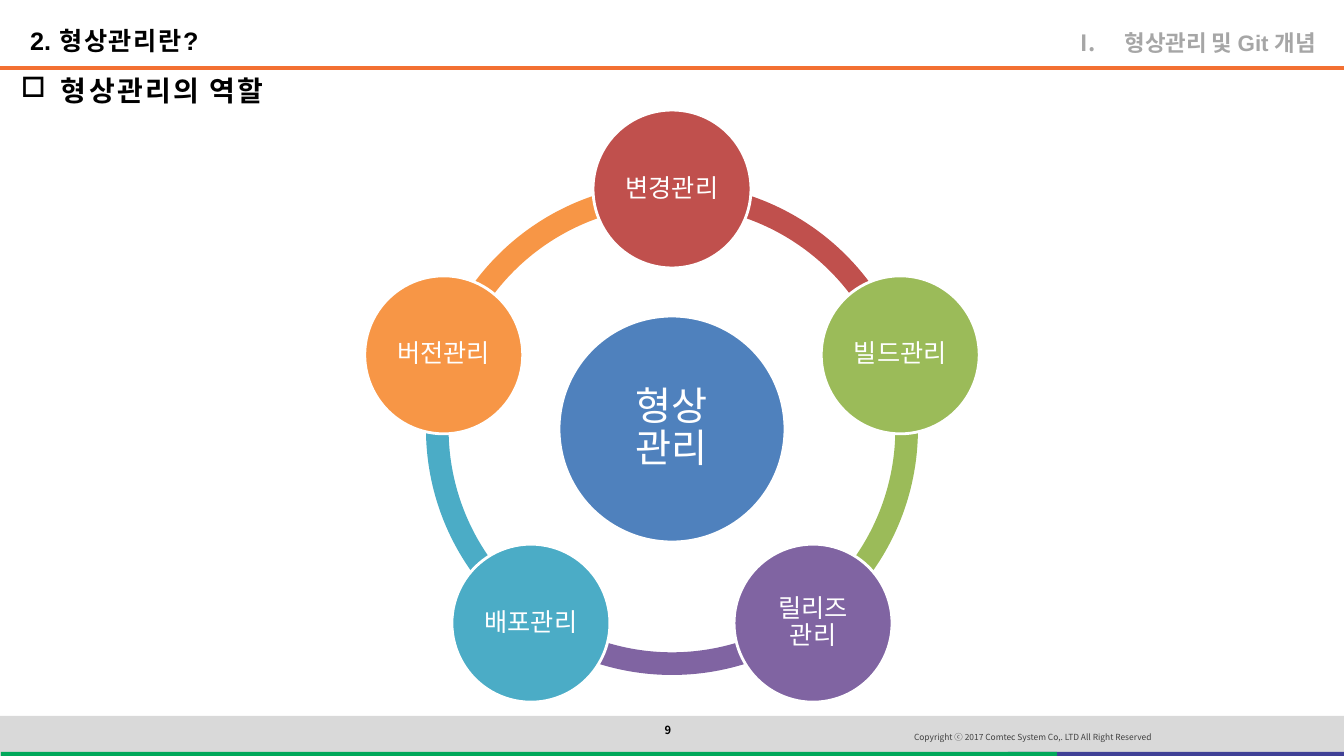
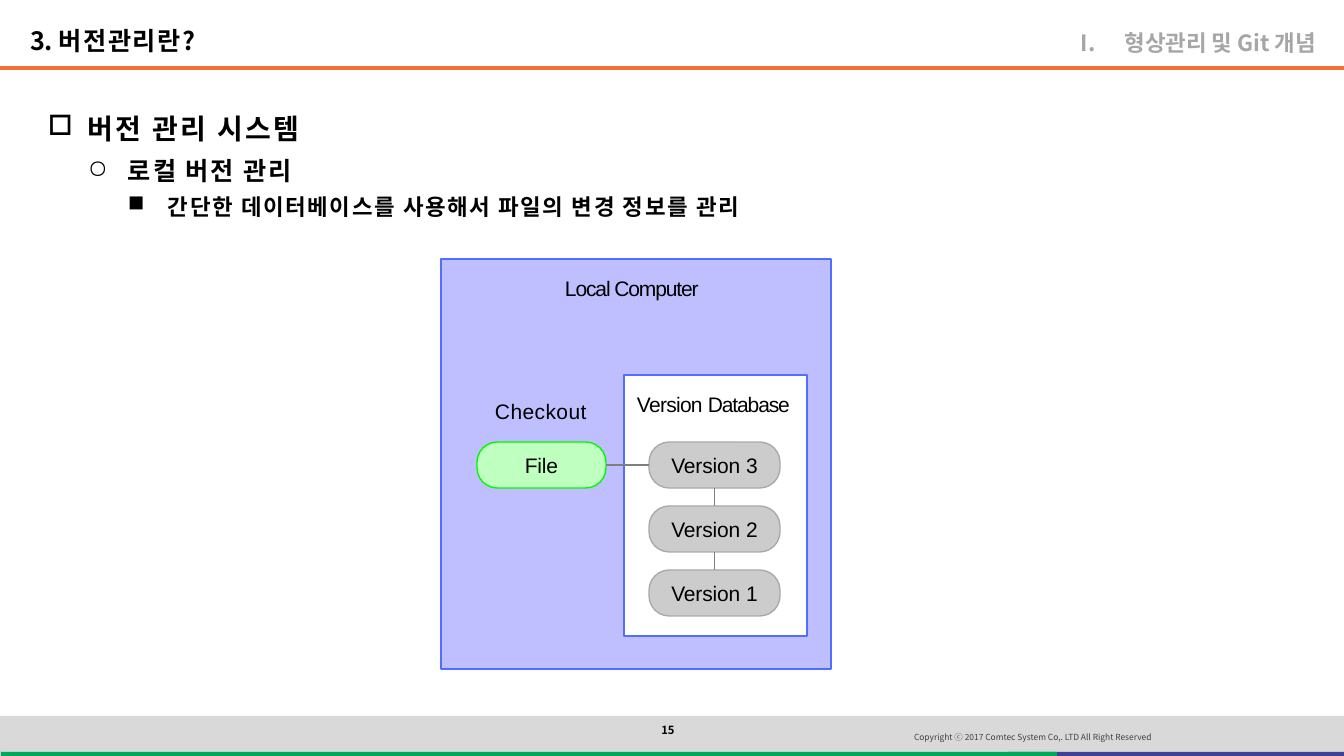
import math
from lxml import etree
from pptx import Presentation
from pptx import util as u
from pptx.dml.color import RGBColor
from pptx.enum import shapes, text
from pptx.oxml.ns import qn

EMU_PER_PX = 914400 / 100.8
WIDTH, HEIGHT = 1344, 756
KR, JP, LATIN = "Noto Sans CJK KR", "Noto Sans CJK JP", "Arial"
LEFT, CENTER, RIGHT = text.PP_ALIGN.LEFT, text.PP_ALIGN.CENTER, text.PP_ALIGN.RIGHT
TOP, MIDDLE, BOTTOM = text.MSO_ANCHOR.TOP, text.MSO_ANCHOR.MIDDLE, text.MSO_ANCHOR.BOTTOM
KIND = shapes.MSO_SHAPE

COLORS = {
    "black": "000000", "white": "FFFFFF", "chapter": "A6A6A6", "copyright": "404040",
    "rule": "F37032", "footer": "D9D9D9", "indigo": "3F4096", "emerald": "00A85A",
    "blue": "4F81BD", "red": "C0504D", "green": "9BBB59", "purple": "8064A2",
    "teal": "4BACC6", "orange": "F79646",
    "computer": "BFBFFF", "frame": "506FFF", "file": "BFFFBF", "file_edge": "00F900",
    "version": "CCCCCC", "version_edge": "A9A9A9", "link": "7F7F7F",
}

CHAPTER = "형상관리 및 Git 개념"
COPYRIGHT = "Copyright ⓒ 2017 Comtec System Co,. LTD All Right Reserved"
BANDS = [
    ((0, 716, WIDTH, 40), "footer"),
    ((1008, 752, 336, 4), "indigo"),
    ((1, 752, 1056, 4), "emerald"),
]

ROLES = {
    "title": [("2.", LATIN, 0), (" 형상관리란?", LATIN, 1.1)],
    "chapter_font": LATIN,
    "number": "9",
    "outline_at": (21, 73, 949, 35),
    "outline_top": 1,
    "outline": [(0, "형상관리의 역할")],
}
SYSTEMS = {
    "title": [("3. ", KR, 0), ("버전관리란?", JP, 1.1)],
    "chapter_font": KR,
    "number": "15",
    "outline_at": (48, 100, 985, 122),
    "outline_top": 12,
    "outline": [
        (0, "버전 관리 시스템"),
        (1, "로컬 버전 관리"),
        (2, "간단한 데이터베이스를 사용해서 파일의 변경 정보를 관리"),
    ],
}
LEVELS = [
    {"bullet": "□", "size": 20, "spacing": 1.6, "before": 0},
    {"bullet": "○", "size": 18, "spacing": 1.4, "before": 6.7},
    {"bullet": "■", "size": 16, "spacing": 1.2, "before": 5.8},
]
INDENT = 40

HUB = "형상\n관리"
ROLE_NODES = [
    ("변경관리", "red"), ("빌드관리", "green"), ("릴리즈 관리", "purple"),
    ("배포관리", "teal"), ("버전관리", "orange"),
]
RING_CENTER, ORBIT, RING_SIZE, HUB_SIZE, NODE_SIZE = (672, 429), 240, 492, 226, 158
RING_THICKNESS = 0.046

PANELS = [((441, 259, 390, 410), "computer"), ((624, 375, 183, 261), "white")]
LABELS = [
    ((565, 274), [("Local Computer", -0.8)]),
    ((637, 390), [("Version ", -0.5), ("Database", -0.8)]),
    ((495, 397), [("Checkout", 0.3)]),
]
FILE_AT = (477, 442, 129, 46)
VERSIONS = ["3", "2", "1"]
VERSION_AT, VERSION_PITCH = (649, 442, 131, 46), 64


def px(value):
    return u.Emu(round(value * EMU_PER_PX))


def rgb(name):
    return RGBColor.from_string(COLORS[name])


def assign(target, values):
    for name, value in values.items():
        if value is not None:
            setattr(target, name, value)


def add_span(para, words, size, font=KR, color="black", bold=False, spacing=0):
    for index, line in enumerate(words.split("\n")):
        if index:
            para.add_line_break()
        span = para.add_run()
        span.text = line
        assign(span.font, {"size": u.Pt(size), "name": font, "bold": bold})
        span.font.color.rgb = rgb(color)
        props = span._r.get_or_add_rPr()
        etree.SubElement(props, qn("a:ea")).set("typeface", KR if font == LATIN else font)
        if spacing:
            props.set("spc", str(round(spacing * 100)))


def add_bullet(para, tag, margin, hang, **attributes):
    props = para._p.get_or_add_pPr()
    props.set("marL", str(px(margin)))
    props.set("indent", str(-px(hang)))
    bullet = etree.SubElement(props, qn(tag))
    for name, value in attributes.items():
        bullet.set(name, value)


def set_frame(box, insets=(0, 0, 0, 0), anchor=TOP):
    frame = box.text_frame
    sides = ("margin_left", "margin_top", "margin_right", "margin_bottom")
    assign(frame, dict(zip(sides, map(px, insets))))
    assign(frame, {"word_wrap": True, "vertical_anchor": anchor})
    return frame


def add_text(page, at, spans, insets=(0, 0, 0, 0), anchor=TOP, align=LEFT, line=None):
    box = page.shapes.add_textbox(*map(px, at))
    para = set_frame(box, insets, anchor).paragraphs[0]
    assign(para, {"alignment": align, "line_spacing": line})
    for span in spans:
        add_span(para, **span)
    return para


def add_box(page, kind, at, fill, edge=None, width=0.96):
    box = page.shapes.add_shape(kind, *map(px, at))
    box.shadow.inherit = False
    box.fill.solid()
    box.fill.fore_color.rgb = rgb(fill)
    if edge:
        box.line.color.rgb = rgb(edge)
        box.line.width = u.Pt(width)
    else:
        box.line.fill.background()
    return box


def caption(box, spans, inset=0, line=None):
    para = set_frame(box, (inset,) * 4, MIDDLE).paragraphs[0]
    assign(para, {"alignment": CENTER, "line_spacing": line})
    for span in spans:
        add_span(para, **span)


def add_line(page, start, end, color, width):
    line = page.shapes.add_connector(shapes.MSO_CONNECTOR.STRAIGHT, *map(px, start + end))
    line.line.color.rgb = rgb(color)
    line.line.width = u.Pt(width)
    etree.SubElement(line._element.spPr, qn("a:effectLst"))
    return line


def join(page, first, first_side, second, second_side):
    line = add_line(page, (0, 0), (0, 0), "link", 0.96)
    line.begin_connect(first, first_side)
    line.end_connect(second, second_side)


def add_page(deck, content):
    page = deck.slides.add_slide(deck.slide_layouts[6])
    add_line(page, (0, 68), (WIDTH, 68), "rule", 3)
    for at, color in BANDS:
        add_box(page, KIND.RECTANGLE, at, color)
    add_text(page, (905, 728, 361, 19),
             [{"words": COPYRIGHT, "size": 6, "color": "copyright"}], (9, 4, 9, 4))
    add_text(page, (613, 720, 120, 27),
             [{"words": content["number"], "size": 8, "bold": True}],
             (0, 5, 10, 5), align=CENTER, line=0.9)
    chapter = add_text(page, (778, 19, 538, 42), [], (10, 5, 0, 5), BOTTOM, RIGHT)
    add_bullet(chapter, "a:buAutoNum", 44, 44, type="romanUcPeriod")
    add_span(chapter, CHAPTER, 16, content["chapter_font"], "chapter", True)
    add_text(page, (30, 19, 742, 42),
             [{"words": words, "size": 18, "font": font, "bold": True, "spacing": spacing}
              for words, font, spacing in content["title"]], (0, 5, 10, 5), BOTTOM)
    add_outline(page, content)
    return page


def add_outline(page, content):
    box = page.shapes.add_textbox(*map(px, content["outline_at"]))
    frame = set_frame(box, (0, content["outline_top"], 0, 0))
    for index, (level, words) in enumerate(content["outline"]):
        style = LEVELS[level]
        para = frame.add_paragraph() if index else frame.paragraphs[0]
        add_bullet(para, "a:buChar", INDENT * (level + 1), INDENT, char=style["bullet"])
        assign(para, {"level": level, "space_before": u.Pt(style["before"])})
        add_span(para, words, style["size"], LATIN, bold=True, spacing=style["spacing"])


def square(center, size):
    return (center[0] - size / 2, center[1] - size / 2, size, size)


def add_disc(page, center, size, color, words, points):
    disc = add_box(page, KIND.OVAL, square(center, size), color, "white", 2)
    caption(disc, [{"words": words, "size": points, "color": "white"}], 3, 0.9)


def draw_roles(page):
    step = 360 / len(ROLE_NODES)
    angles = [(270 + step * index) % 360 for index in range(len(ROLE_NODES))]
    for angle, (_, color) in reversed(list(zip(angles, ROLE_NODES))):
        arc = add_box(page, KIND.BLOCK_ARC, square(RING_CENTER, RING_SIZE), color)
        limits = (angle * 0.6, (angle + step) % 360 * 0.6, RING_THICKNESS)
        for index, value in enumerate(limits):
            arc.adjustments[index] = value
    add_disc(page, RING_CENTER, HUB_SIZE, "blue", HUB, 28)
    for angle, (words, color) in zip(angles, ROLE_NODES):
        turn = math.radians(angle)
        center = (RING_CENTER[0] + ORBIT * math.cos(turn),
                  RING_CENTER[1] + ORBIT * math.sin(turn))
        add_disc(page, center, NODE_SIZE, color, words, 18)


def add_pill(page, at, fill, edge, parts):
    pill = add_box(page, KIND.ROUNDED_RECTANGLE, at, fill, edge)
    pill.adjustments[0] = 0.44
    caption(pill, diagram_spans(parts))
    return pill


def diagram_spans(parts):
    return [{"words": words, "size": 15, "font": LATIN, "spacing": spacing}
            for words, spacing in parts]


def draw_local_system(page):
    for at, color in PANELS:
        add_box(page, KIND.RECTANGLE, at, color, "frame")
    for at, parts in LABELS:
        add_text(page, at + (190, 27), diagram_spans(parts), (0, 2, 0, 0))
    file_pill = add_pill(page, FILE_AT, "file", "file_edge", [("File", -0.1)])
    left, top, width, height = VERSION_AT
    pills = [add_pill(page, (left, top + VERSION_PITCH * index, width, height),
                      "version", "version_edge", [("Version ", -0.1), (number, 0.2)])
             for index, number in enumerate(VERSIONS)]
    join(page, file_pill, 3, pills[0], 1)
    for upper, lower in zip(pills, pills[1:]):
        join(page, upper, 2, lower, 0)


def main():
    deck = Presentation()
    assign(deck, {"slide_width": px(WIDTH), "slide_height": px(HEIGHT)})
    draw_roles(add_page(deck, ROLES))
    draw_local_system(add_page(deck, SYSTEMS))
    deck.save("out.pptx")


if __name__ == "__main__":
    main()
